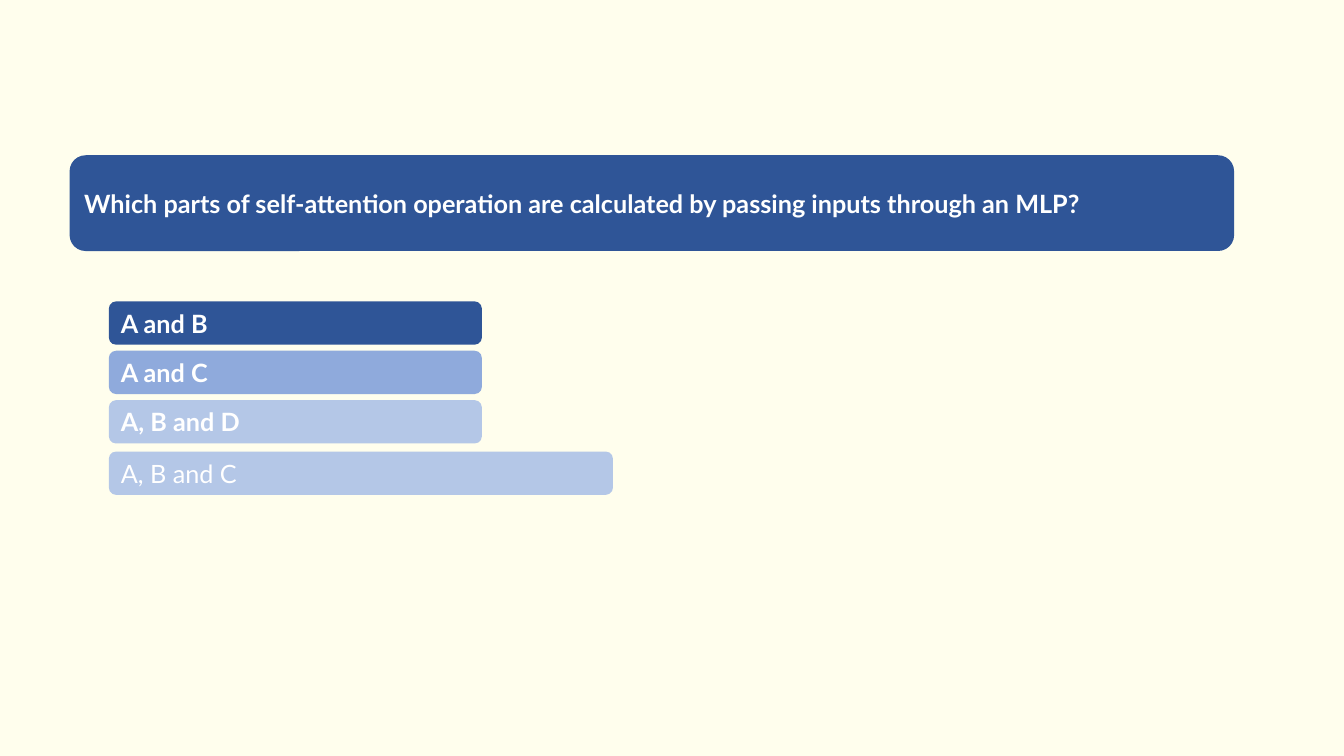
from dataclasses import dataclass

from pptx import Presentation
from pptx.dml.color import RGBColor
from pptx.enum.shapes import MSO_SHAPE as SHAPE
from pptx.enum.text import MSO_ANCHOR as ANCHOR, PP_ALIGN as ALIGN
from pptx.slide import Slide
from pptx.util import Inches, Pt

CREAM = RGBColor(0xFF, 0xFE, 0xED)
WHITE = RGBColor(0xFF, 0xFF, 0xFF)
DARK_BLUE = RGBColor(0x2F, 0x55, 0x97)
MID_BLUE = RGBColor(0x8F, 0xAA, 0xDC)
PALE_BLUE = RGBColor(0xB4, 0xC7, 0xE7)

ANSWER_LEFT, ANSWER_HEIGHT = 1.08, 0.43


@dataclass
class Box:
    text: str
    left: float
    top: float
    width: float
    height: float
    fill: RGBColor
    bold: bool = True


def answer(text: str, top: float, fill: RGBColor,
           width: float = 3.7, bold: bool = True) -> Box:
    return Box(text, ANSWER_LEFT, top, width, ANSWER_HEIGHT, fill, bold)


def draw_box(s: Slide, box: Box) -> None:
    sp = s.shapes.add_shape(
        SHAPE.ROUNDED_RECTANGLE, Inches(box.left), Inches(box.top),
        Inches(box.width), Inches(box.height))
    sp.shadow.inherit = False
    sp.fill.solid()
    sp.fill.fore_color.rgb = box.fill
    sp.line.fill.background()

    tf = sp.text_frame
    tf.word_wrap = True
    tf.vertical_anchor = ANCHOR.MIDDLE
    p = tf.paragraphs[0]
    p.alignment = ALIGN.LEFT
    r = p.add_run()
    r.text = box.text
    font_format = {"name": "Lato", "size": Pt(18), "bold": box.bold}
    for name, value in font_format.items():
        setattr(r.font, name, value)
    r.font.color.rgb = WHITE


# Question bar, then the answers; the last answer is longer and set apart
BOXES = [
    Box("Which parts of self-attention operation are calculated "
        "by passing inputs through an MLP?\u00a0",
        0.69, 1.54, 11.55, 0.95, DARK_BLUE),
    answer("A and B", 2.99, DARK_BLUE),
    answer("A and C", 3.48, MID_BLUE),
    answer("A, B and D", 3.97, PALE_BLUE),
    answer("A, B and C", 4.48, PALE_BLUE, width=5, bold=False),
]

# Slide and background
prs = Presentation()
prs.slide_width, prs.slide_height = Inches(13.33), Inches(7.5)
s = prs.slides.add_slide(prs.slide_layouts[6])
s.background.fill.solid()
s.background.fill.fore_color.rgb = CREAM

for box in BOXES:
    draw_box(s, box)

prs.save("out.pptx")
